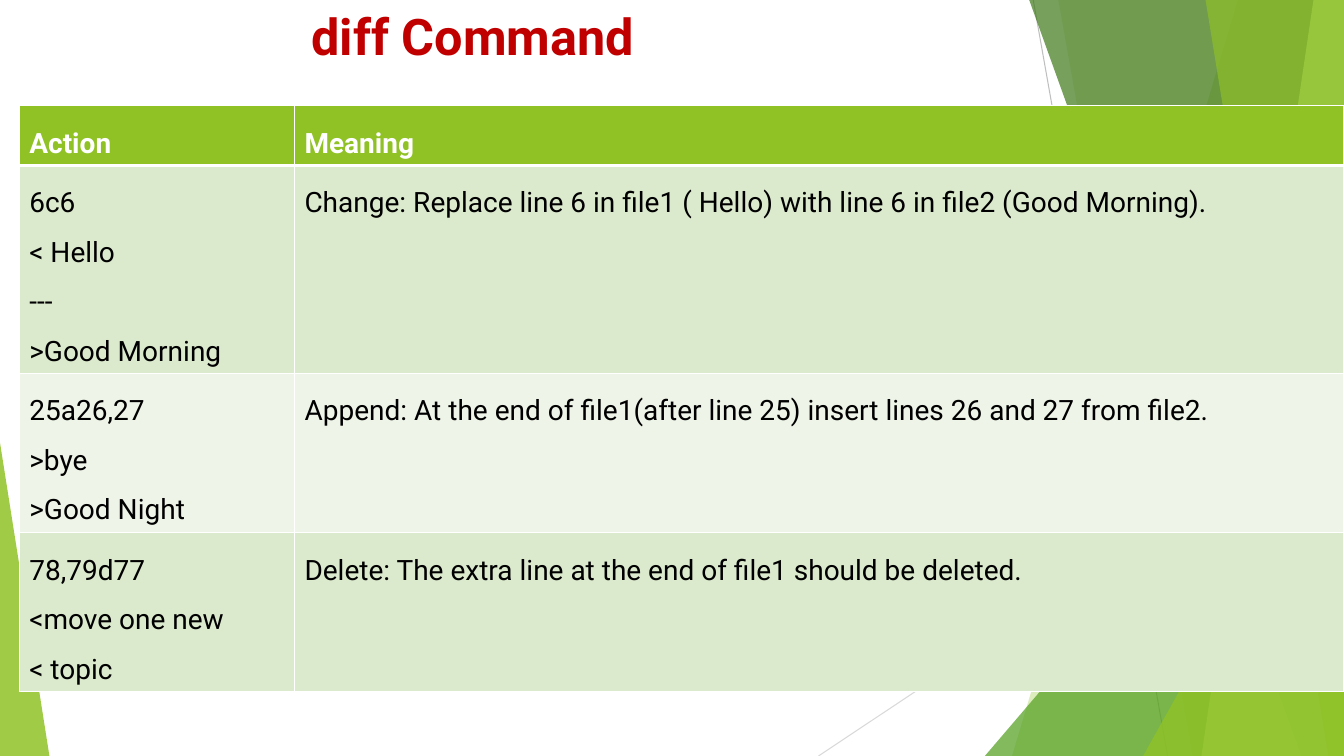
from lxml.etree import SubElement
from pptx import Presentation
from pptx.dml.color import RGBColor
from pptx.enum.shapes import MSO_CONNECTOR, MSO_SHAPE
from pptx.enum.text import MSO_ANCHOR, MSO_AUTO_SIZE, PP_ALIGN
from pptx.oxml.ns import qn
from pptx.util import Inches, Pt

WIDTH, HEIGHT = Inches(13.333), Inches(7.5)
FONT = "Roboto"
COLOURS = {
    "lime": "90C226", "green": "54A021", "forest": "3F7819", "pale": "C0E474",
    "grey": "BFBFBF", "light_grey": "D9D9D9", "title": "C00000",
    "white": "FFFFFF", "black": "000000", "band_dark": "DBE9CD", "band_light": "EEF4E8",
}
COLUMN_SHARES = (20.48, 78.08)
ROW_SHARES = (7.8, 27.5, 21.1, 21)
ROWS = (
    (["Action"], ["Meaning"]),
    (["6c6", "< Hello", "---", ">Good Morning"],
     ["Change: Replace line 6 in file1 ( Hello) with line 6 in file2 (Good Morning)."]),
    (["25a26,27", ">bye", ">Good Night"],
     ["Append: At the end of file1(after line 25) insert lines 26 and 27 from file2."]),
    (["78,79d77", "<move one new", "< topic"],
     ["Delete: The extra line at the end of file1 should be deleted."]),
)


def across(share):
    """Length for a percentage of the slide's width."""
    return round(WIDTH * share / 100)


def down(share):
    """Length for a percentage of the slide's height."""
    return round(HEIGHT * share / 100)


def colour(name):
    return RGBColor.from_string(COLOURS[name])


def paint(shape, fill, opacity):
    shape.shadow.inherit = False
    shape.line.fill.background()
    shape.fill.solid()
    shape.fill.fore_color.rgb = colour(fill)
    tint = shape._element.spPr.find(qn("a:solidFill")).find(qn("a:srgbClr"))
    SubElement(tint, qn("a:alpha"), val=str(opacity * 1000))


def add_thin_line(page, start, end, stroke):
    line = page.shapes.add_connector(
        MSO_CONNECTOR.STRAIGHT, across(start[0]), down(start[1]), across(end[0]), down(end[1]))
    line.line.color.rgb = colour(stroke)
    line.line.width = Pt(0.75)
    SubElement(line._element.spPr, qn("a:effectLst"))


def add_band(page, top, bottom, fill, opacity):
    """Full-height facet with a slanted left side, reaching the right edge."""
    builder = page.shapes.build_freeform(across(top), 0)
    builder.add_line_segments([(WIDTH, 0), (WIDTH, HEIGHT), (across(bottom), HEIGHT)])
    paint(builder.convert_to_shape(), fill, opacity)


def add_corner(page, left, top, width, apex, fill, opacity):
    """Triangle standing on the bottom edge, with its apex at 0 (left) or 1 (right)."""
    corner = page.shapes.add_shape(
        MSO_SHAPE.ISOSCELES_TRIANGLE, across(left), down(top), across(width), down(100 - top))
    corner.adjustments[0] = apex
    paint(corner, fill, opacity)


def add_facets(page):
    add_thin_line(page, (76.88, 0), (86.88, 100), "grey")
    add_thin_line(page, (100, 53.73), (60.9, 100), "light_grey")
    add_band(page, 92.1, 75.3, "lime", 30)
    add_band(page, 78.75, 88.73, "lime", 20)
    add_corner(page, 73.28, 44.4, 26.72, 1, "green", 72)
    add_band(page, 76.58, 96.83, "forest", 70)
    add_band(page, 97.73, 89.4, "pale", 70)
    add_band(page, 89.7, 98.85, "lime", 65)
    add_corner(page, 85.05, 52.4, 14.95, 1, "lime", 80)
    add_corner(page, 0, 58.53, 3.68, 0, "lime", 85)


def add_span(para, text, size, ink, bold):
    span = para.add_run()
    span.text = text
    span.font.name = FONT
    span.font.size = Pt(size)
    span.font.bold = bold
    span.font.color.rgb = colour(ink)


def place_title(page, text):
    title = page.shapes.title
    title.left, title.top = across(22.43), 0
    title.width, title.height = across(70.5), down(19.2)
    frame = title.text_frame
    frame.auto_size = MSO_AUTO_SIZE.NONE
    frame.vertical_anchor = MSO_ANCHOR.TOP
    para = frame.paragraphs[0]
    para.alignment = PP_ALIGN.LEFT
    add_span(para, text, 36, "title", True)


def add_borders(cell, bottom):
    properties = cell._tc.get_or_add_tcPr()
    for side, width in (("L", 1), ("R", 1), ("T", 1), ("B", bottom)):
        border = SubElement(properties, qn(f"a:ln{side}"), w=str(Pt(width)))
        fill = SubElement(border, qn("a:solidFill"))
        SubElement(fill, qn("a:srgbClr"), val=COLOURS["white"])


def fill_cell(cell, lines, fill, header):
    add_borders(cell, 3 if header else 1)
    cell.fill.solid()
    cell.fill.fore_color.rgb = colour(fill)
    frame = cell.text_frame
    for number, text in enumerate(lines):
        para = frame.add_paragraph() if number else frame.paragraphs[0]
        para.line_spacing = 1.5
        add_span(para, text, 20, "white" if header else "black", header)


def add_action_table(page):
    table = page.shapes.add_table(
        len(ROWS), len(COLUMN_SHARES), across(1.43), down(14),
        across(sum(COLUMN_SHARES)), down(sum(ROW_SHARES))).table
    table.horz_banding = False
    for column, share in zip(table.columns, COLUMN_SHARES):
        column.width = across(share)
    for number, (row, share) in enumerate(zip(table.rows, ROW_SHARES)):
        row.height = down(share)
        header = number == 0
        band = "band_dark" if number % 2 else "band_light"
        for cell, lines in zip(row.cells, ROWS[number]):
            fill_cell(cell, lines, "lime" if header else band, header)


def main():
    deck = Presentation()
    deck.slide_width, deck.slide_height = WIDTH, HEIGHT
    page = deck.slides.add_slide(deck.slide_layouts.get_by_name("Title Only"))
    add_facets(page)
    place_title(page, "diff Command")
    add_action_table(page)
    deck.save("out.pptx")


if __name__ == "__main__":
    main()
